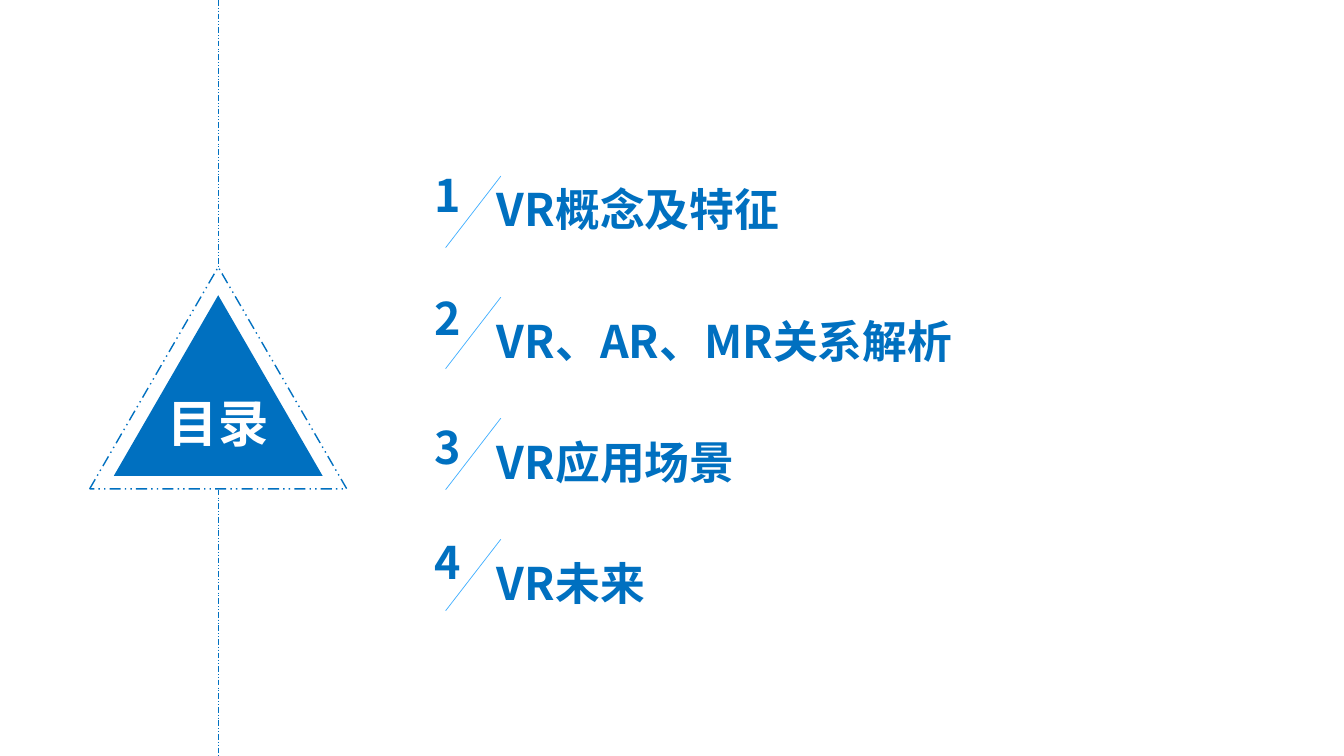
from dataclasses import dataclass

from pptx import Presentation
from pptx.dml.color import RGBColor
from pptx.enum.dml import MSO_LINE
from pptx.enum.shapes import MSO_CONNECTOR, MSO_SHAPE
from pptx.enum.text import MSO_ANCHOR, MSO_AUTO_SIZE, PP_ALIGN
from pptx.oxml.ns import qn
from pptx.util import Cm, Pt


@dataclass(frozen=True)
class Theme:
    face: str = "Noto Sans CJK SC"
    blue: RGBColor = RGBColor(0x00, 0x70, 0xC0)
    sky: RGBColor = RGBColor(0x40, 0xAF, 0xFF)
    white: RGBColor = RGBColor(0xFF, 0xFF, 0xFF)
    head: Pt = Pt(36)
    item: Pt = Pt(32)


THEME = Theme()
WIDE, HIGH = 33.87, 19.05
AXIS = 5.5  # centre line of the triangles
LEFT, STEP = 12.27, 3.05  # left edge of the items, pitch of the slashes

# Entry, top of its text, top of its number
ITEMS = [
    ("VR概念及特征", 4.7, 4.09),
    ("VR、AR、MR关系解析", 8.03, 7.19),
    ("VR应用场景", 11.07, 10.46),
    ("VR未来", 14.12, 13.36),
]


def apply(obj, form):
    for name, value in form.items():
        setattr(obj, name, value)


def place(shape, left, top, width, height):
    apply(shape, dict(left=Cm(left), top=Cm(top),
                      width=Cm(width), height=Cm(height)))


def write(shape, text, size, color, align=PP_ALIGN.LEFT, **frame):
    """Put one bold line of text, without a bullet, into a shape."""
    box = shape.text_frame
    apply(box, dict(word_wrap=True, auto_size=MSO_AUTO_SIZE.NONE) | frame)
    para = box.paragraphs[0]
    apply(para, dict(alignment=align, space_before=Pt(0), line_spacing=1.0))
    props = para._p.get_or_add_pPr()
    props.set("marL", "0")
    props.set("indent", "0")
    props.append(props.makeelement(qn("a:buNone"), {}))
    run = para.add_run()
    run.text = text
    apply(run.font, dict(name=THEME.face, size=size, bold=True))
    run.font.color.rgb = color
    face = run._r.get_or_add_rPr()
    face.append(face.makeelement(qn("a:ea"), {"typeface": THEME.face}))


def stroke(line, color, width, dash=None):
    line.color.rgb = color
    apply(line, dict(width=Pt(width), dash_style=dash))


def link(slide, start, end, color, dash=None):
    line = slide.shapes.add_connector(
        MSO_CONNECTOR.STRAIGHT, *map(Cm, start + end))
    stroke(line.line, color, 0.5, dash)
    props = line.element.spPr
    props.append(props.makeelement(qn("a:effectLst"), {}))


def peak(slide, top, width, height):
    """Add a triangle centred on the axis."""
    shape = slide.shapes.add_shape(
        MSO_SHAPE.ISOSCELES_TRIANGLE,
        *map(Cm, (AXIS - width / 2, top, width, height)))
    shape.shadow.inherit = False
    return shape


def emblem(slide):
    dash = MSO_LINE.DASH_DOT_DOT
    # Solid triangle and its dashed outline
    solid = peak(slide, 7.44, 5.26, 4.55)
    solid.fill.solid()
    solid.fill.fore_color.rgb = THEME.blue
    solid.line.fill.background()
    rim = peak(slide, 6.73, 6.48, 5.59)
    rim.fill.background()
    stroke(rim.line, THEME.blue, 1, dash)
    # Axis above and below
    for top, low in ((0, 6.73), (12.34, HIGH)):
        link(slide, (AXIS, top), (AXIS, low), THEME.blue, dash)
    # Title, brought in front of the solid triangle
    title = slide.shapes.title
    place(title, AXIS - 2, 9.72, 4, 2.27)
    write(title, "目录", THEME.head, THEME.white, PP_ALIGN.CENTER,
          vertical_anchor=MSO_ANCHOR.MIDDLE, margin_left=0, margin_right=0,
          margin_top=0, margin_bottom=Cm(0.41))
    title.element.getparent().append(title.element)


def entry(slide, index, holder):
    text, top, mark = ITEMS[index]
    place(holder, LEFT, top, 12.67, 1.12)
    write(holder, text, THEME.item, THEME.blue,
          vertical_anchor=MSO_ANCHOR.MIDDLE)
    # Slash between number and text
    high = 4.44 + index * STEP
    link(slide, (12.62, high), (11.23, high + 1.8), THEME.sky)
    # Number
    label = slide.shapes.add_textbox(*map(Cm, (10.69, mark, 1.07, 1.63)))
    write(label, str(index + 1), THEME.item, THEME.blue,
          vertical_anchor=MSO_ANCHOR.TOP)


def main():
    deck = Presentation()
    apply(deck, dict(slide_width=Cm(WIDE), slide_height=Cm(HIGH)))
    # The comparison layout has a title and four body placeholders
    slide = deck.slides.add_slide(deck.slide_layouts[4])
    bodies = [h for h in slide.placeholders
              if h.placeholder_format.idx in range(1, 5)]
    emblem(slide)
    for index, holder in enumerate(bodies):
        entry(slide, index, holder)
    deck.save("out.pptx")


if __name__ == "__main__":
    main()
